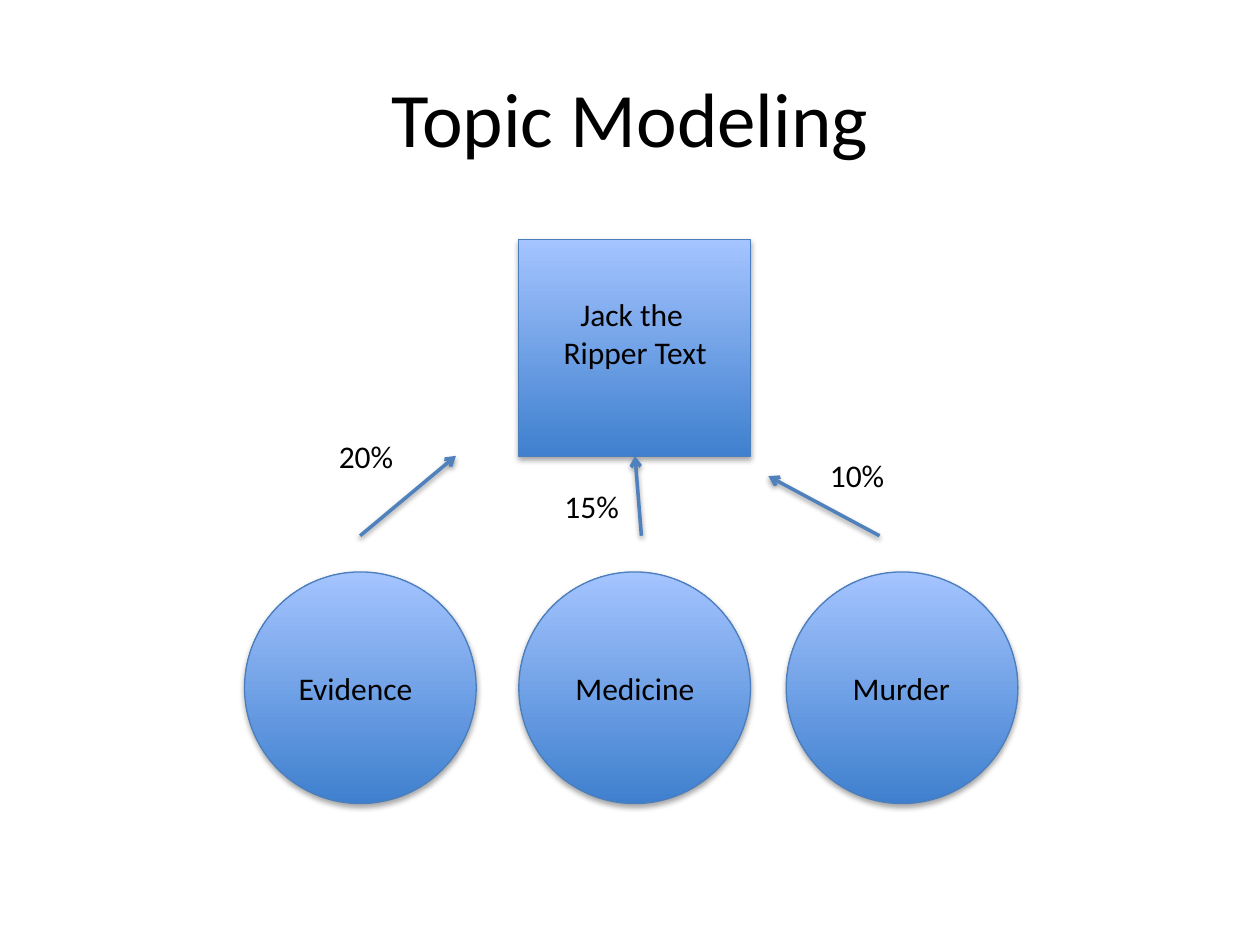
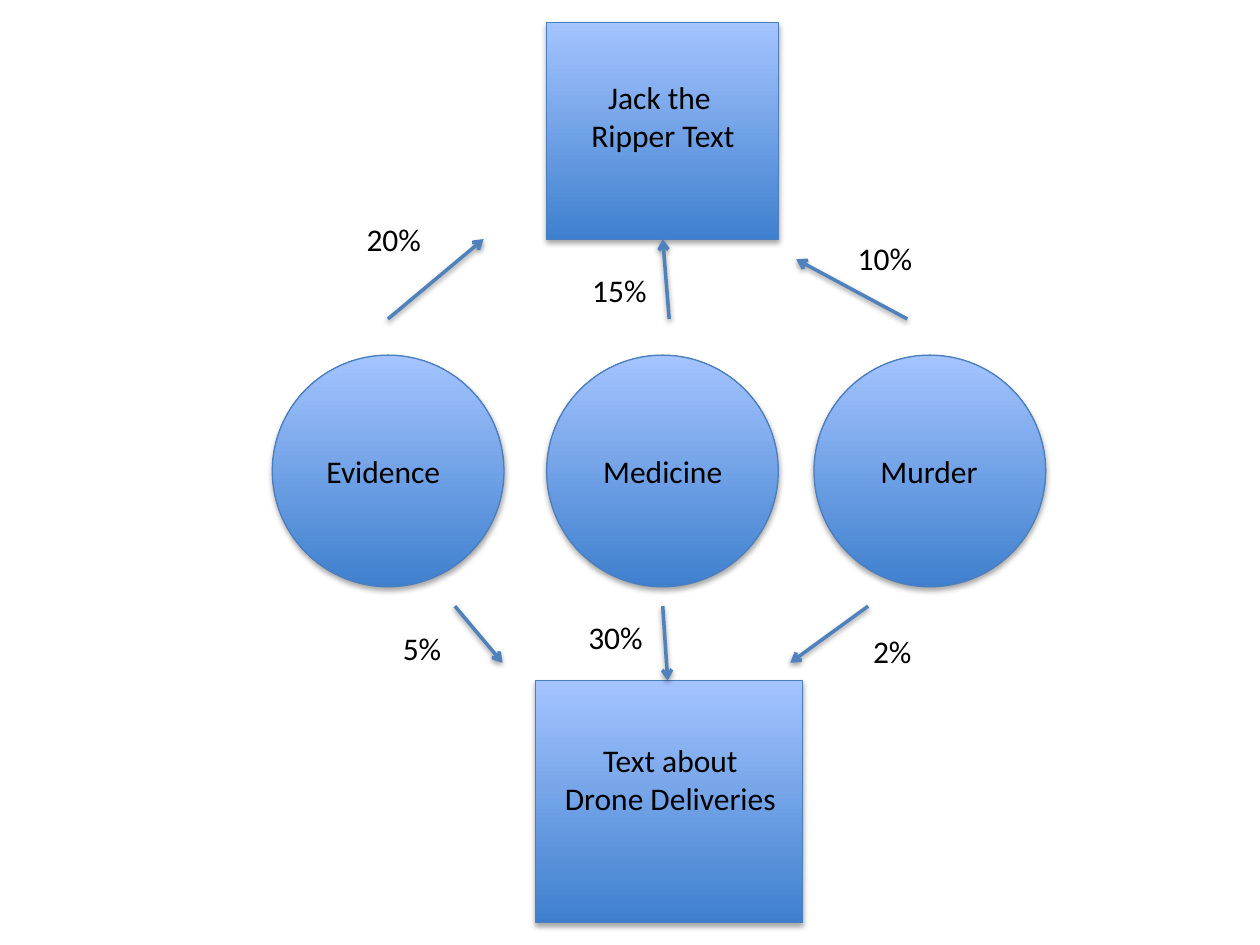
from lxml.etree import SubElement
from pptx import Presentation
from pptx.dml.color import RGBColor
from pptx.enum.shapes import MSO_CONNECTOR as Connector, MSO_SHAPE as Preset
from pptx.enum.text import MSO_ANCHOR as Anchor, MSO_AUTO_SIZE as AutoSize, PP_ALIGN as Align
from pptx.oxml.ns import qn
from pptx.util import Cm, Pt

COLOURS = {
    "text": "000000",
    "fill_bottom": "3F80CE",
    "fill_top": "A4C4FF",
    "outline": "4B7EBC",
    "arrow": "4F81BD",
    "shadow": "000000",
}
FONT = "Calibri"
TITLE_SIZE, BODY_SIZE = 44, 18
CIRCLE_SIZE = 4.67
LINE_HEIGHT = 1.02


def colour(name):
    return RGBColor.from_string(COLOURS[name])


def add_shadow(shape, opacity, distance):
    """Drop a soft shadow straight down; call it after the line is set."""
    effects = SubElement(shape._element.spPr, qn("a:effectLst"))
    shadow = SubElement(effects, qn("a:outerShdw"), blurRad=str(Pt(3.1)),
                        dist=str(Pt(distance)), dir="5400000", rotWithShape="0")
    tone = SubElement(shadow, qn("a:srgbClr"), val=COLOURS["shadow"])
    SubElement(tone, qn("a:alpha"), val=str(opacity * 1000))


class Painter:
    """Draws on the current page in centimetres, measured from a movable origin."""

    def __init__(self, deck):
        self.deck = deck
        self.page = None
        self.origin = (0, 0)

    def new_page(self):
        self.page = self.deck.slides.add_slide(self.deck.slide_layouts[6])
        self.origin = (0, 0)

    def place(self, left, top):
        return Cm(self.origin[0] + left), Cm(self.origin[1] + top)

    def text(self, lines, left, top, width, height=LINE_HEIGHT, size=BODY_SIZE,
             align=Align.LEFT, wrap=False):
        box = self.page.shapes.add_textbox(*self.place(left, top), Cm(width), Cm(height))
        frame = box.text_frame
        frame.word_wrap = wrap
        frame.auto_size = AutoSize.SHAPE_TO_FIT_TEXT
        for number, line in enumerate(lines):
            para = frame.add_paragraph() if number else frame.paragraphs[0]
            para.alignment = align
            span = para.add_run()
            span.text = line
            span.font.name = FONT
            span.font.size = Pt(size)
            span.font.color.rgb = colour("text")
        return frame

    def title(self, words):
        frame = self.text([words], 1.27, 0.76, 22.86, 3.18, TITLE_SIZE, Align.CENTER, True)
        frame.auto_size = AutoSize.NONE
        frame.vertical_anchor = Anchor.MIDDLE

    def shape(self, preset, left, top, width, height):
        shape = self.page.shapes.add_shape(
            preset, *self.place(left, top), Cm(width), Cm(height))
        shape.fill.gradient()
        shape.fill.gradient_angle = 90
        for stop, name in zip(shape.fill.gradient_stops, ("fill_bottom", "fill_top")):
            stop.color.rgb = colour(name)
        shape.line.color.rgb = colour("outline")
        shape.line.width = Pt(0.75)
        add_shadow(shape, 35, 1.8)

    def arrow(self, start, end):
        arrow = self.page.shapes.add_connector(
            Connector.STRAIGHT, *self.place(*start), *self.place(*end))
        arrow.line.color.rgb = colour("arrow")
        arrow.line.width = Pt(2)
        SubElement(arrow.line._get_or_add_ln(), qn("a:tailEnd"), type="arrow")
        add_shadow(arrow, 38, 1.6)

    def document(self, lines, box, caption):
        """A square for a text, with its name in two centred lines."""
        self.shape(Preset.RECTANGLE, *box)
        self.text(lines, *caption, height=1.8, align=Align.CENTER)

    def shares(self, arrows, labels):
        for start, end in arrows:
            self.arrow(start, end)
        for share, left, top, width, wrap in labels:
            self.text([share], left, top, width, wrap=wrap)


def draw_ripper_model(painter):
    """The three topics and their shares in the first text."""
    topics = [("Evidence", 4.93, 5.77, 2.84),
              ("Medicine", 10.46, 11.35, 2.95),
              ("Murder", 15.85, 16.94, 2.51)]
    for _, left, _, _ in topics:
        painter.shape(Preset.OVAL, left, 11.53, CIRCLE_SIZE, CIRCLE_SIZE)
    for topic, _, left, width in topics:
        painter.text([topic], left, 13.36, width)
    painter.document(["Jack the ", "Ripper Text"],
                     (10.46, 4.83, CIRCLE_SIZE, 4.37), (11.05, 5.82, 3.51))
    painter.shares(
        [((7.26, 10.8), (9.19, 9.19)),
         ((12.93, 10.8), (12.8, 9.19)),
         ((17.73, 10.8), (15.49, 9.6))],
        [("20%", 6.58, 8.69, 2.03, True),
         ("15%", 11.13, 9.7, 1.63, False),
         ("10%", 16.48, 9.07, 1.63, False)])


def draw_drone_model(painter):
    """The shares of the same topics in the second text."""
    painter.document(["Text about", "Drone Deliveries"],
                     (10.8, 13.72, 5.38, 4.88), (11.1, 14.81, 4.83))
    painter.shares(
        [((9.17, 12.22), (10.13, 13.36)),
         ((13.36, 12.22), (13.46, 13.72)),
         ((17.5, 12.22), (15.93, 13.36))],
        [("5%", 7.87, 12.55, 1.3, False),
         ("30%", 11.61, 12.34, 1.63, False),
         ("2%", 17.35, 12.62, 1.3, False)])


def main():
    deck = Presentation()
    deck.slide_width, deck.slide_height = Cm(25.4), Cm(19.05)
    painter = Painter(deck)

    painter.new_page()
    painter.title("Topic Modeling")
    draw_ripper_model(painter)

    painter.new_page()
    painter.origin = (0.56, -4.37)
    draw_ripper_model(painter)
    painter.origin = (0, 0)
    draw_drone_model(painter)

    deck.save("out.pptx")


if __name__ == "__main__":
    main()
